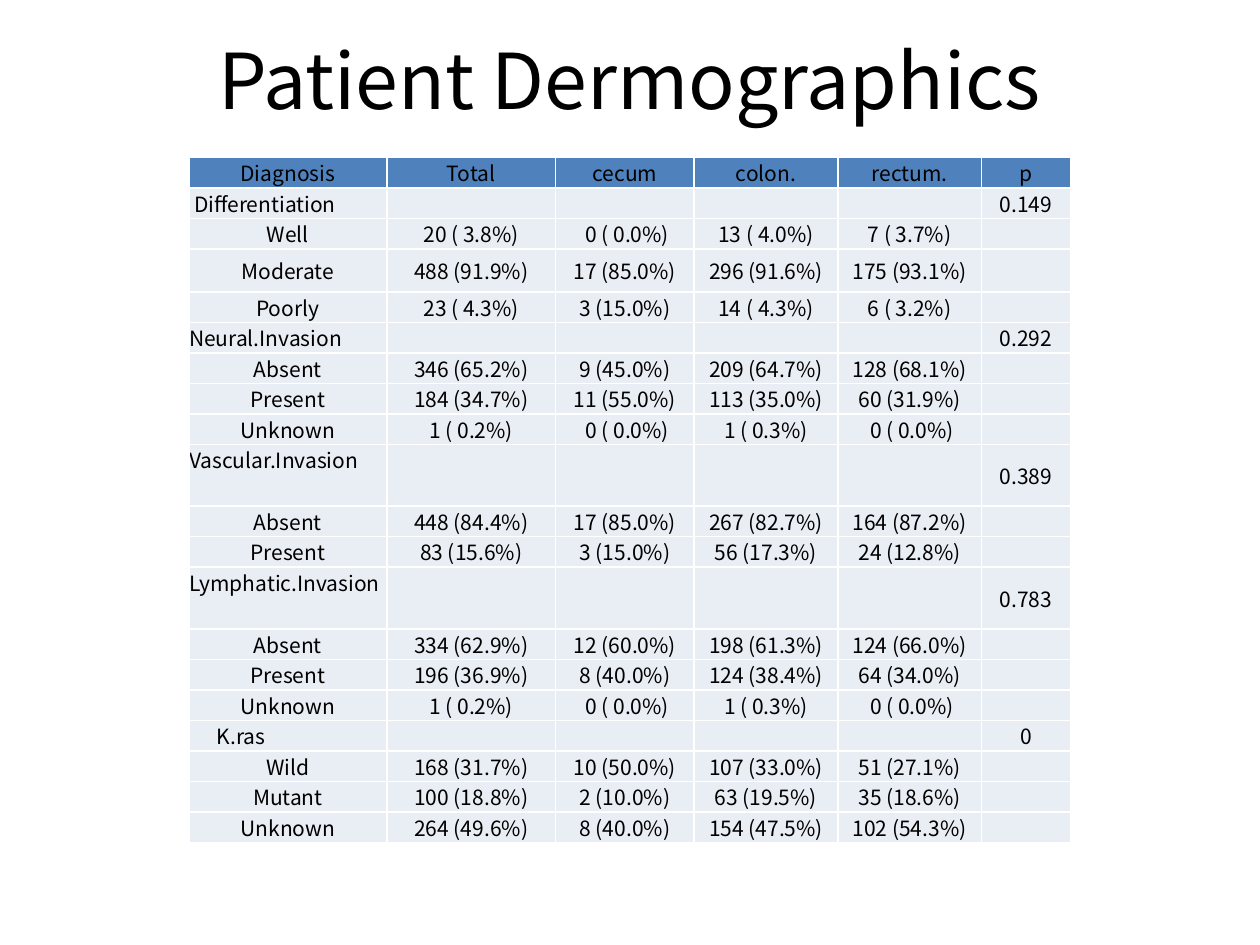
from lxml import etree
from pptx import Presentation
from pptx.dml.color import RGBColor
from pptx.enum.text import MSO_ANCHOR, PP_ALIGN
from pptx.oxml.ns import qn
from pptx.util import Inches, Pt

LEFT, CENTER = PP_ALIGN.LEFT, PP_ALIGN.CENTER
TOP, MIDDLE = MSO_ANCHOR.TOP, MSO_ANCHOR.MIDDLE

HEADER = ["Diagnosis", "Total", "cecum", "colon.", "rectum.", "p"]
COLUMN_WIDTHS = [1.57, 1.34, 1.1, 1.14, 1.14, 0.71]
ROW_HEIGHT, MODERATE_HEIGHT = 0.24, 0.34
GROUPS = [
    ("Differentiation", "0.149", 0.04, 0.24, [
        ["Well", "20 ( 3.8%)", " 0 ( 0.0%)", "13 ( 4.0%)", "7 ( 3.7%)"],
        ["Moderate", "488 (91.9%)", "17 (85.0%)", "296 (91.6%)", "175 (93.1%)"],
        ["Poorly", "23 ( 4.3%)", "3 (15.0%)", "14 ( 4.3%)", "6 ( 3.2%)"],
    ]),
    ("Neural.Invasion", "0.292", 0, 0.24, [
        ["Absent", "346 (65.2%)", "9 (45.0%)", "209 (64.7%)", "128 (68.1%)"],
        ["Present", "184 (34.7%)", "11 (55.0%)", "113 (35.0%)", "60 (31.9%)"],
        ["Unknown", "1 ( 0.2%)", " 0 ( 0.0%)", "1 ( 0.3%)", " 0 ( 0.0%)"],
    ]),
    ("Vascular.Invasion", "0.389", 0, 0.49, [
        ["Absent", "448 (84.4%)", "17 (85.0%)", "267 (82.7%)", "164 (87.2%)"],
        ["Present", "83 (15.6%)", "3 (15.0%)", "56 (17.3%)", "24 (12.8%)"],
    ]),
    ("Lymphatic.Invasion", "0.783", 0, 0.49, [
        ["Absent", "334 (62.9%)", "12 (60.0%)", "198 (61.3%)", "124 (66.0%)"],
        ["Present", "196 (36.9%)", "8 (40.0%)", "124 (38.4%)", "64 (34.0%)"],
        ["Unknown", "1 ( 0.2%)", " 0 ( 0.0%)", "1 ( 0.3%)", " 0 ( 0.0%)"],
    ]),
    ("K.ras", "0", 0.22, 0.24, [
        ["Wild", "168 (31.7%)", "10 (50.0%)", "107 (33.0%)", "51 (27.1%)"],
        ["Mutant", "100 (18.8%)", "2 (10.0%)", "63 (19.5%)", "35 (18.6%)"],
        ["Unknown", "264 (49.6%)", "8 (40.0%)", "154 (47.5%)", "102 (54.3%)"],
    ]),
]


def color(value):
    return RGBColor.from_string(value)


class DemographicsSlide:
    font = "Noto Sans CJK KR"
    text_color = "000000"
    header_fill = "4F81BD"
    body_fill = "E9EDF4"
    border_color = "FFFFFF"

    def __init__(self, prs):
        self.s = prs.slides.add_slide(prs.slide_layouts[5])

    def format(self, p, size, align):
        p.alignment = align
        for r in p.runs:
            r.font.name = self.font
            r.font.size = Pt(size)
            r.font.color.rgb = color(self.text_color)

    def title(self, text, left, top, width, height):
        sp = self.s.shapes.title
        sp.left, sp.top = Inches(left), Inches(top)
        sp.width, sp.height = Inches(width), Inches(height)
        tf = sp.text_frame
        tf.text = text
        tf.vertical_anchor = MIDDLE
        self.format(tf.paragraphs[0], 44, CENTER)

    def borders(self, cell):
        tc_pr = cell._tc.get_or_add_tcPr()
        for side in ("a:lnL", "a:lnR", "a:lnT", "a:lnB"):
            line = etree.SubElement(tc_pr, qn(side), w=str(Pt(1)))
            fill = etree.SubElement(line, qn("a:solidFill"))
            etree.SubElement(fill, qn("a:srgbClr"), val=self.border_color)

    def cell(self, cell, text, fill, align=CENTER, anchor=MIDDLE, indent=0):
        self.borders(cell)
        cell.fill.solid()
        cell.fill.fore_color.rgb = color(fill)
        cell.margin_left = Inches(indent)
        cell.margin_right = cell.margin_top = cell.margin_bottom = 0
        cell.vertical_anchor = anchor
        p = cell.text_frame.paragraphs[0]
        if text:
            p.text = text
            self.format(p, 12, align)
        else:
            etree.SubElement(p._p, qn("a:endParaRPr"), sz="1200")

    def table(self, groups, left, top):
        row_count = 1 + sum(1 + len(rows) for *_, rows in groups)
        frame = self.s.shapes.add_table(
            row_count, len(HEADER), Inches(left), Inches(top),
            Inches(sum(COLUMN_WIDTHS)), Inches(ROW_HEIGHT * row_count))
        table = frame.table
        table.first_row = table.horz_banding = False
        for column, width in zip(table.columns, COLUMN_WIDTHS):
            column.width = Inches(width)

        rows = iter(table.rows)
        self.row(next(rows), HEADER, ROW_HEIGHT, self.header_fill)
        for name, p_value, indent, height, entries in groups:
            self.row(next(rows), [name, "", "", "", "", p_value], height,
                     self.body_fill, align=LEFT, anchor=TOP, indent=indent)
            for entry in entries:
                height = MODERATE_HEIGHT if entry[0] == "Moderate" else ROW_HEIGHT
                self.row(next(rows), entry + [""], height, self.body_fill)

    def row(self, row, texts, height, fill, **label_style):
        row.height = Inches(height)
        label, *values = row.cells
        self.cell(label, texts[0], fill, **label_style)
        for cell, text in zip(values, texts[1:]):
            self.cell(cell, text, fill)


def main():
    prs = Presentation()
    prs.slide_width, prs.slide_height = Inches(10), Inches(7.5)
    slide = DemographicsSlide(prs)
    slide.table(GROUPS, 1.5, 1.25)
    slide.title("Patient Dermographics", 0.5, 0, 9, 1.25)
    prs.save("out.pptx")


if __name__ == "__main__":
    main()
